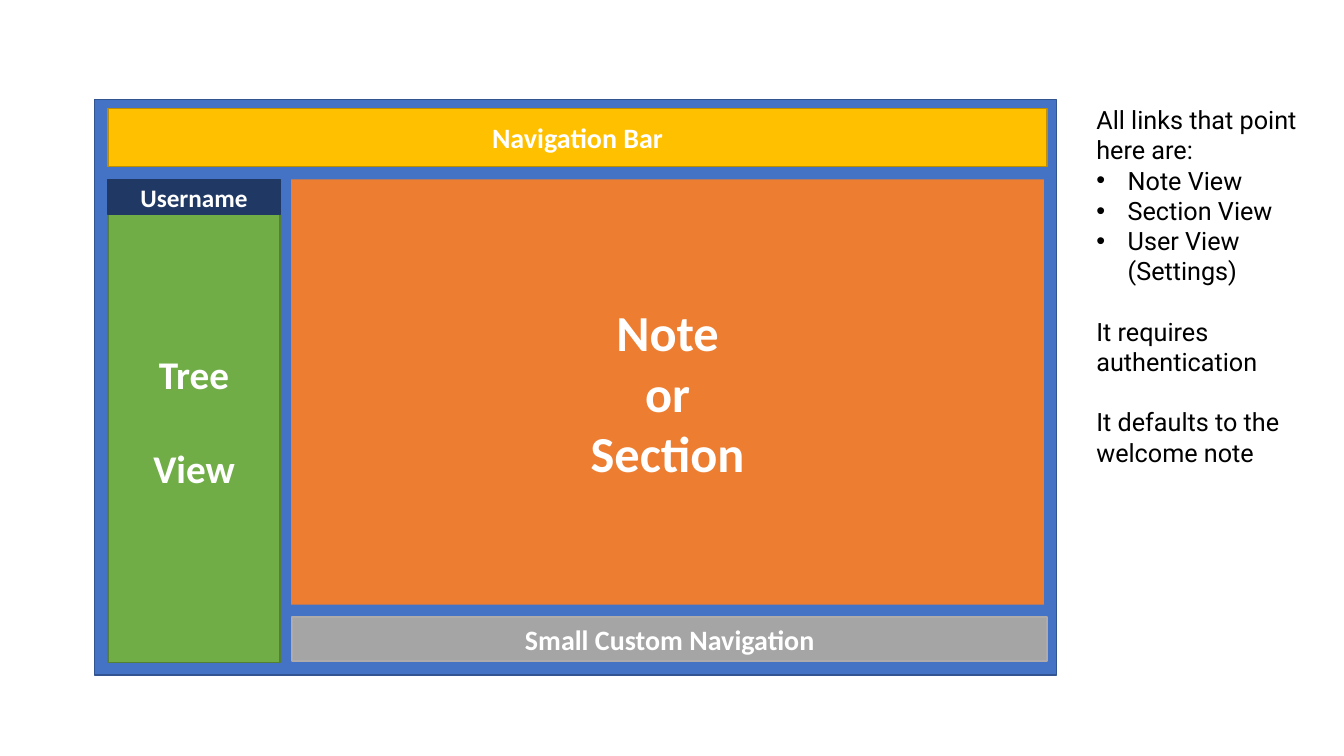
from dataclasses import dataclass

from lxml.etree import SubElement
from pptx import Presentation
from pptx.dml.color import RGBColor
from pptx.enum.shapes import MSO_SHAPE
from pptx.enum.text import MSO_ANCHOR, MSO_AUTO_SIZE, PP_ALIGN
from pptx.oxml.ns import qn
from pptx.util import Cm, Pt


@dataclass(frozen=True)
class Theme:
    label_font: str = "Calibri"
    side_font: str = "Roboto"
    white: str = "FFFFFF"
    black: str = "000000"
    blue: str = "4472C4"
    blue_edge: str = "325491"
    gold: str = "FFC000"
    gold_edge: str = "BD8E00"
    green: str = "70AD47"
    green_edge: str = "538035"
    orange: str = "ED7D31"
    gray: str = "A5A5A5"
    gray_edge: str = "AFABAB"
    navy: str = "203864"
    body: int = 18
    bar: int = 20
    tree: int = 28
    main: int = 36
    side_gap: float = 21.5
    tree_gap: float = 34


class WireframePage:
    def __init__(self, deck, theme):
        self.theme = theme
        self.page = deck.slides.add_slide(deck.slide_layouts[6])

    def style(self, paragraph, font, size, color, bold=False):
        paragraph.font.name = font
        paragraph.font.size = Pt(size)
        paragraph.font.bold = bold
        paragraph.font.color.rgb = RGBColor.from_string(color)

    def panel(self, place, fill, edge=None, lines=(), size=None, gap=0, edge_width=1):
        """Add a rectangle with centred bold lines; gap is the space between them."""
        box = self.page.shapes.add_shape(MSO_SHAPE.RECTANGLE, *map(Cm, place))
        box.shadow.inherit = False
        box.fill.solid()
        box.fill.fore_color.rgb = RGBColor.from_string(fill)
        if edge:
            box.line.color.rgb = RGBColor.from_string(edge)
            box.line.width = Pt(edge_width)
        else:
            box.line.fill.background()
        frame = box.text_frame
        frame.vertical_anchor = MSO_ANCHOR.MIDDLE
        for index, line in enumerate(lines):
            paragraph = frame.add_paragraph() if index else frame.paragraphs[0]
            paragraph.text = line
            paragraph.alignment = PP_ALIGN.CENTER
            paragraph.space_before = Pt(gap if index else 0)
            self.style(paragraph, self.theme.label_font, size, self.theme.white, bold=True)

    def bullet(self, paragraph):
        properties = paragraph._p.get_or_add_pPr()
        indent = Cm(0.79)
        properties.set("marL", str(indent))
        properties.set("indent", str(-indent))
        SubElement(properties, qn("a:buFont"), typeface="Arial")
        SubElement(properties, qn("a:buChar"), char="•")

    def side_text(self, place, entries):
        """Add text from (kind, text) entries, where kind is plain, bullet or spaced."""
        box = self.page.shapes.add_textbox(*map(Cm, place))
        frame = box.text_frame
        frame.word_wrap = True
        frame.auto_size = MSO_AUTO_SIZE.SHAPE_TO_FIT_TEXT
        for index, (kind, text) in enumerate(entries):
            paragraph = frame.add_paragraph() if index else frame.paragraphs[0]
            paragraph.text = text
            self.style(paragraph, self.theme.side_font, self.theme.body, self.theme.black)
            if kind == "spaced":
                paragraph.space_before = Pt(self.theme.side_gap)
            elif kind == "bullet":
                self.bullet(paragraph)


def main():
    deck = Presentation()
    deck.slide_width, deck.slide_height = Cm(33.87), Cm(19.05)
    theme = Theme()
    page = WireframePage(deck, theme)

    left, frame_top, content_top, tree_width = 2.72, 2.51, 4.52, 4.34
    page.panel((2.39, frame_top, 24.23, 14.5), theme.blue, theme.blue_edge)
    page.panel((left, 2.74, 23.67, 1.45), theme.gold, theme.gold_edge,
               ["Navigation Bar"], theme.bar)
    page.panel((left, content_top, tree_width, 12.17), theme.green, theme.green_edge,
               ["Tree", "View"], theme.tree, gap=theme.tree_gap)
    page.panel((7.34, content_top, 18.97, 10.72), theme.orange,
               lines=["Note", "or", "Section"], size=theme.main)
    page.panel((7.37, 15.54, 19.02, 1.12), theme.gray, theme.gray_edge,
               ["Small Custom Navigation"], theme.bar, edge_width=1.5)
    page.side_text((27.38, frame_top, 5.82, 10.26), [
        ("plain", "All links that point here are:"),
        ("bullet", "Note View"),
        ("bullet", "Section View"),
        ("bullet", "User View (Settings)"),
        ("spaced", "It requires authentication"),
        ("spaced", "It defaults to the welcome note"),
    ])
    page.panel((left, content_top, tree_width, 0.89), theme.navy, theme.navy,
               ["Username"], theme.body)

    deck.save("out.pptx")


if __name__ == "__main__":
    main()
